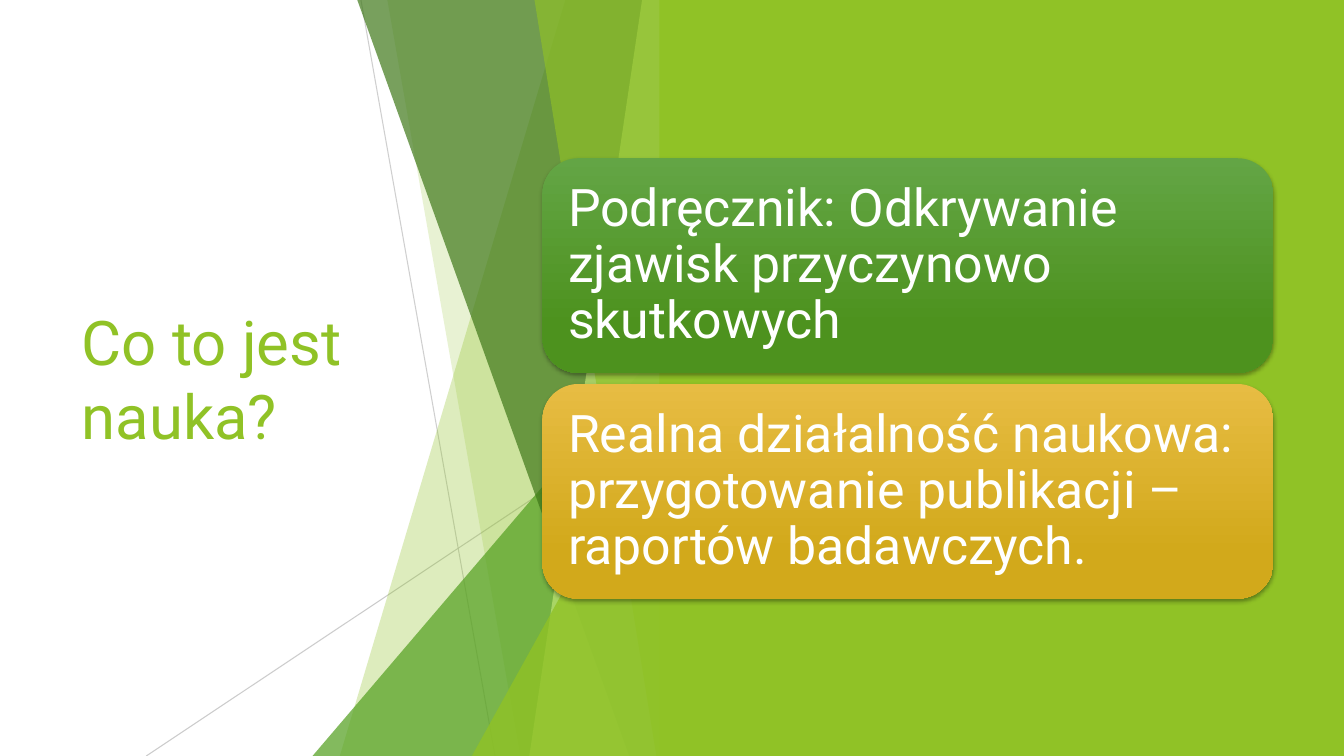
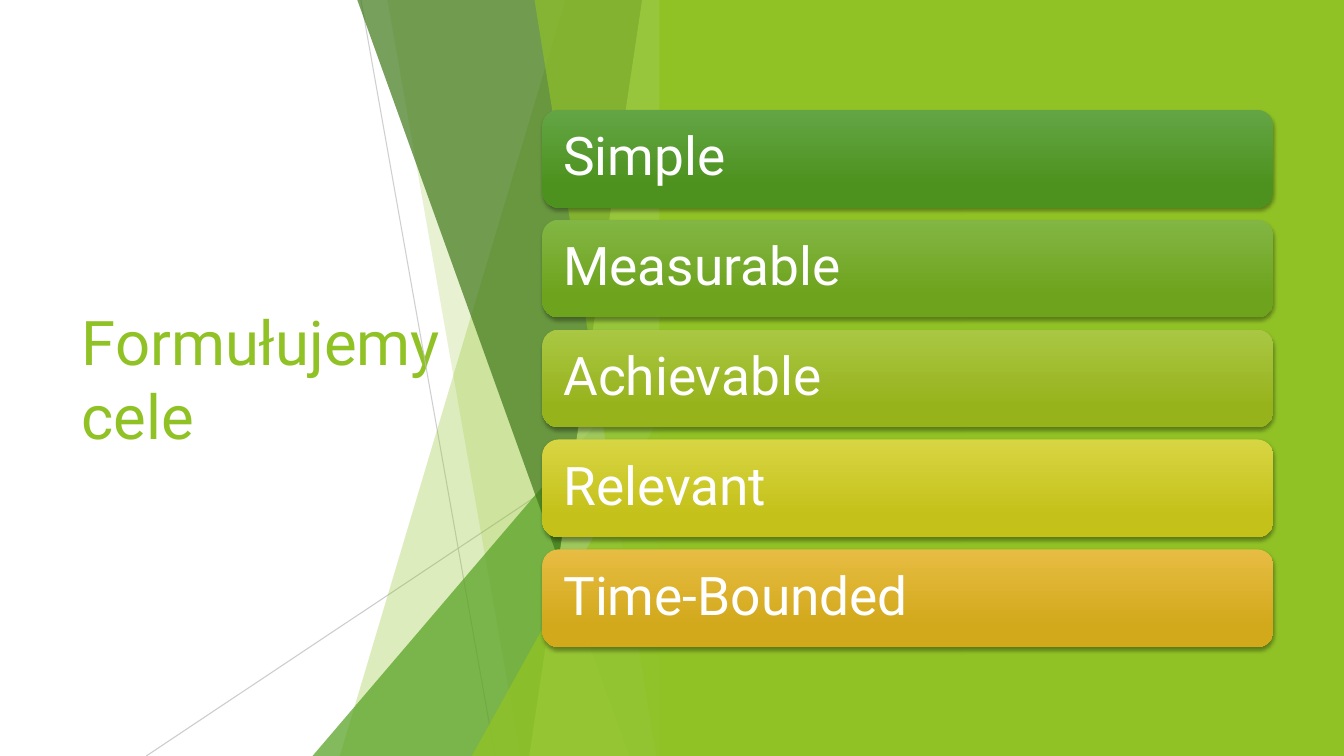
from collections import namedtuple
from dataclasses import dataclass

from lxml.etree import SubElement
from pptx import Presentation
from pptx.dml.color import RGBColor as Rgb
from pptx.enum.shapes import MSO_CONNECTOR as Connector, MSO_SHAPE as Preset
from pptx.enum.text import MSO_ANCHOR as Anchor, MSO_AUTO_SIZE as AutoSize, PP_ALIGN as Align
from pptx.oxml.ns import qn
from pptx.util import Inches, Pt

Box = namedtuple("Box", "left top width height")
Tone = namedtuple("Tone", "light deep")


@dataclass(frozen=True)
class Theme:
    font: str = "Roboto"
    title_size: int = 44
    lime: str = "90C226"
    green: str = "54A021"
    forest: str = "3F7819"
    pale: str = "C0E474"
    hairline: str = "BFBFBF"
    white: str = "FFFFFF"
    shadow: str = "000000"
    card_green: Tone = Tone("63A545", "4D921E")
    card_leaf: Tone = Tone("82B644", "6EA31D")
    card_lime: Tone = Tone("AAC744", "97B31C")
    card_yellow: Tone = Tone("D8D543", "C4C11A")
    card_gold: Tone = Tone("E7BC43", "D2A91B")


THEME = Theme()
SLIDE = Box(0, 0, 13.33, 7.5)
TITLE = Box(0.71, 1.51, 3.88, 4.48)
FACETS = Box(1.45, 0, 5.21, 7.5)
PANEL = Box(6.54, 0, 6.79, 7.5)
CARDS = Box(5.38, 0.75, 7.25, 6.01)


def inches(box):
    return [Inches(length) for length in box]


def set_opacity(shape, percent):
    color = next(shape.element.spPr.iter(qn("a:srgbClr")))
    SubElement(color, qn("a:alpha"), val=str(percent * 1000))


def paint(shape, color, opacity=100):
    shape.shadow.inherit = False
    shape.fill.solid()
    shape.fill.fore_color.rgb = Rgb.from_string(color)
    shape.line.fill.background()
    if opacity < 100:
        set_opacity(shape, opacity)


def add_text(frame, text, size, color):
    frame.auto_size = AutoSize.NONE
    frame.word_wrap = True
    frame.vertical_anchor = Anchor.MIDDLE
    para = frame.paragraphs[0]
    para.alignment = Align.LEFT
    span = para.add_run()
    span.text = text
    span.font.name = THEME.font
    span.font.size = Pt(size)
    span.font.color.rgb = Rgb.from_string(color)
    return para


def add_title(page, box, text):
    title = page.shapes.title
    title.left, title.top, title.width, title.height = inches(box)
    add_text(title.text_frame, text, THEME.title_size, THEME.lime)


def add_hairline(page, box, start, end, opacity):
    ends = [Inches(length) for x, y in (start, end) for length in (box.left + x, box.top + y)]
    line = page.shapes.add_connector(Connector.STRAIGHT, *ends)
    line.line.color.rgb = Rgb.from_string(THEME.hairline)
    line.line.width = Pt(0.75)
    set_opacity(line, opacity)
    SubElement(line.element.spPr, qn("a:effectLst"))


def add_blade(page, box, top_x, bottom_x, color, opacity):
    top, right, bottom = box.top - 0.01, box.left + box.width, box.top + box.height
    corners = [(box.left + top_x, top), (right, top), (right, bottom), (box.left + bottom_x, bottom)]
    points = [(Inches(x), Inches(y)) for x, y in corners]
    outline = page.shapes.build_freeform(*points[0])
    outline.add_line_segments(points[1:], close=True)
    paint(outline.convert_to_shape(), color, opacity)


def add_wedge(page, box, left, top, color, opacity):
    area = Box(box.left + left, box.top + top, box.width - left, box.height - top)
    wedge = page.shapes.add_shape(Preset.ISOSCELES_TRIANGLE, *inches(area))
    wedge.adjustments[0] = 1
    paint(wedge, color, opacity)


def add_facets(page, box):
    add_hairline(page, box, (2.13, 0), (3.46, box.height), 75)
    add_hairline(page, box, (box.width, 4.03), (0, box.height), 80)
    for add_facet, start, end, color, opacity in (
        (add_blade, 4.16, 1.92, THEME.lime, 30),
        (add_blade, 2.39, 3.71, THEME.lime, 20),
        (add_wedge, 1.65, 3.33, THEME.green, 72),
        (add_blade, 2.09, 4.79, THEME.forest, 70),
        (add_blade, 4.92, 3.8, THEME.pale, 70),
        (add_blade, 3.85, 5.06, THEME.lime, 65),
        (add_wedge, 3.23, 3.93, THEME.lime, 80),
    ):
        add_facet(page, box, start, end, color, opacity)


def add_panel(page, box):
    paint(page.shapes.add_shape(Preset.RECTANGLE, *inches(box)), THEME.lime)


def add_card_shadow(card):
    card.shadow.inherit = False
    effects = card.element.spPr.find(qn("a:effectLst"))
    shadow = SubElement(effects, qn("a:outerShdw"), blurRad=str(Pt(3)), dist=str(Pt(2)),
                        dir="5400000", algn="ctr", rotWithShape="0")
    color = SubElement(shadow, qn("a:srgbClr"), val=THEME.shadow)
    SubElement(color, qn("a:alpha"), val="35000")


def add_card(page, box, text, tone, size, inset):
    card = page.shapes.add_shape(Preset.ROUNDED_RECTANGLE, *inches(box))
    card.fill.gradient()
    card.fill.gradient_angle = 270
    for stop, color, position in zip(card.fill.gradient_stops, tone, (0, 0.78)):
        stop.color.rgb = Rgb.from_string(color)
        stop.position = position
    card.line.fill.background()
    add_card_shadow(card)
    frame = card.text_frame
    frame.margin_left = frame.margin_right = Inches(inset)
    frame.margin_top = frame.margin_bottom = Inches(inset)
    add_text(frame, text, size, THEME.white).line_spacing = 0.9


def add_card_stack(page, box, cards, height, gap, size, inset):
    pitch = height + gap
    top = box.top + (box.height - pitch * len(cards) + gap) / 2
    for index, (text, tone) in enumerate(cards):
        area = Box(box.left, top + index * pitch, box.width, height)
        add_card(page, area, text, tone, size, inset)


def add_card_page(deck, title, cards, **card_style):
    page = deck.slides.add_slide(deck.slide_layouts[5])
    add_title(page, TITLE, title)
    add_facets(page, FACETS)
    add_panel(page, PANEL)
    add_card_stack(page, CARDS, cards, **card_style)


def main():
    deck = Presentation()
    deck.slide_width, deck.slide_height = Inches(SLIDE.width), Inches(SLIDE.height)
    add_card_page(
        deck,
        "Co to jest nauka?",
        [
            ("Podręcznik: Odkrywanie zjawisk przyczynowo skutkowych", THEME.card_green),
            ("Realna działalność naukowa: przygotowanie publikacji – raportów badawczych.",
             THEME.card_gold),
        ],
        height=2.13, gap=0.11, size=37, inset=0.15,
    )
    add_card_page(
        deck,
        "Formułujemy cele",
        [
            ("Simple", THEME.card_green),
            ("Measurable", THEME.card_leaf),
            ("Achievable", THEME.card_lime),
            ("Relevant", THEME.card_yellow),
            ("Time-Bounded", THEME.card_gold),
        ],
        height=0.97, gap=0.12, size=38, inset=0.16,
    )
    deck.save("out.pptx")


if __name__ == "__main__":
    main()
